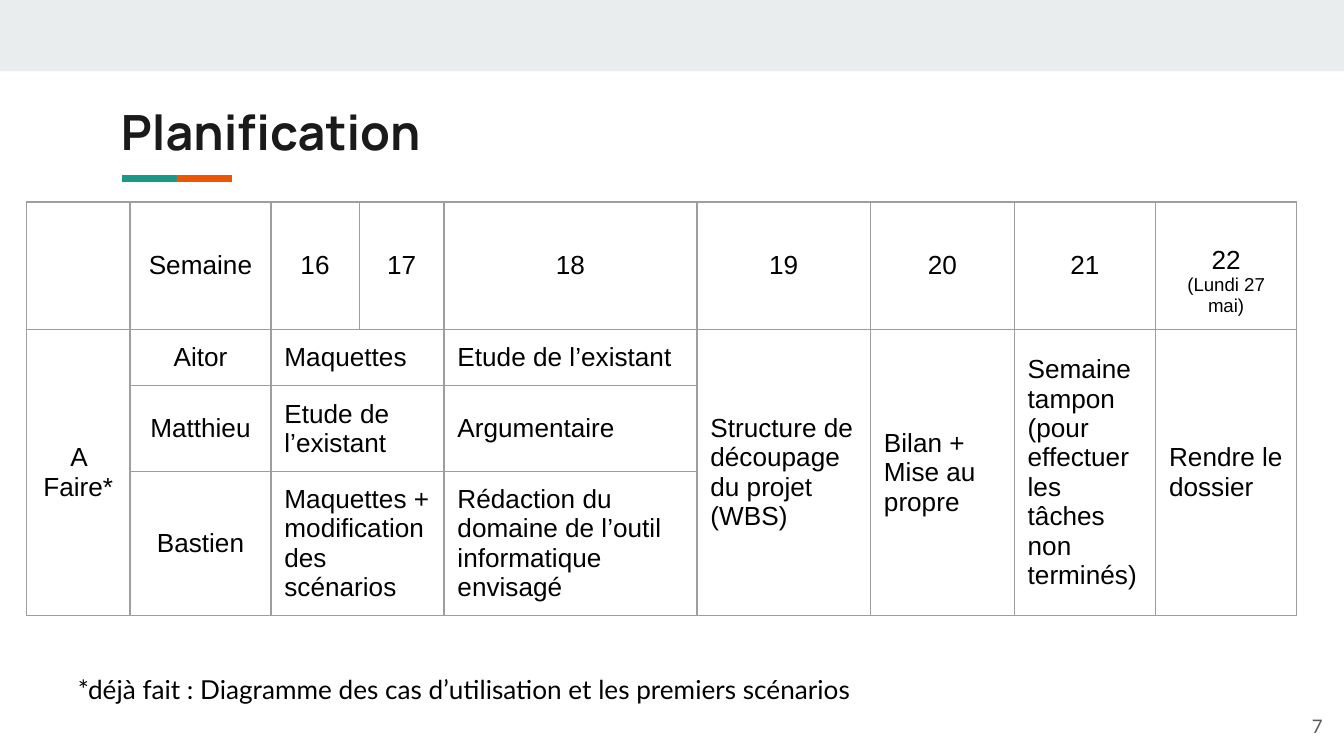
from dataclasses import dataclass

from lxml import etree
from pptx import Presentation
from pptx import util as u
from pptx.dml.color import RGBColor
from pptx.enum import shapes, text
from pptx.oxml import ns

Pt = u.Pt
LEFT, CENTER, RIGHT = text.PP_ALIGN.LEFT, text.PP_ALIGN.CENTER, text.PP_ALIGN.RIGHT
TOP, MIDDLE = text.MSO_ANCHOR.TOP, text.MSO_ANCHOR.MIDDLE


@dataclass
class Theme:
    band: str = "E9EDEE"
    teal: str = "1A9988"
    orange: str = "EB5600"
    ink: str = "1A1A1A"
    black: str = "000000"
    gray: str = "595959"
    border: str = "9E9E9E"
    heading: str = "Manrope"
    body: str = "Lato"
    grid: str = "Arial"
    title_size: float = 26
    body_size: float = 14
    small_size: float = 10
    border_width: float = 0.75
    inset: float = 7.2
    cell_inset: float = 3.6


theme = Theme()

COLUMNS = [55.5, 75.5, 47.25, 45.5, 135.5, 93, 77, 75.75, 75.5]
ROWS = [68.5, 30, 46, 77]
WEEKS = ["", "Semaine", "16", "17", "18", "19", "20", "21", "22\n(Lundi 27 mai)"]
# Person, weeks 16-17, week 18
TASKS = [
    ("Aitor", "Maquettes", "Etude de l’existant"),
    ("Matthieu", "Etude de l’existant", "Argumentaire"),
    ("Bastien", "Maquettes + modification des scénarios",
     "Rédaction du domaine de l’outil informatique envisagé"),
]
# Column: text running over all three people
SHARED = {
    0: "A Faire*",
    5: "Structure de découpage du projet (WBS)",
    6: "Bilan + Mise au propre",
    7: "Semaine tampon (pour effectuer les tâches non terminés)",
    8: "Rendre le dossier",
}


def style(para, font, size, color, align=LEFT, bold=False):
    para.alignment = align
    for span in para.runs:
        span.font.name = font
        span.font.size = Pt(size)
        span.font.bold = bold
        span.font.color.rgb = RGBColor.from_string(color)


def fill_frame(frame, words, font, size, color, align=LEFT, anchor=TOP, bold=False):
    frame.text = words
    frame.word_wrap = True
    frame.auto_size = text.MSO_AUTO_SIZE.NONE
    frame.vertical_anchor = anchor
    frame.margin_left = frame.margin_right = Pt(theme.inset)
    frame.margin_top = frame.margin_bottom = Pt(theme.inset)
    style(frame.paragraphs[0], font, size, color, align, bold)


def add_bar(page, box, color):
    bar = page.shapes.add_shape(shapes.MSO_SHAPE.RECTANGLE, *map(Pt, box))
    bar.shadow.inherit = False
    bar.fill.solid()
    bar.fill.fore_color.rgb = RGBColor.from_string(color)
    bar.line.fill.background()


def add_heading(page, box, words):
    left, top, width, height = box
    title = page.shapes.title
    title.left, title.top, title.width, title.height = map(Pt, box)
    fill_frame(title.text_frame, words, theme.heading, theme.title_size,
               theme.ink, bold=True)
    # Two-colour underline
    for index, color in enumerate((theme.teal, theme.orange)):
        add_bar(page, (left + 7.8 + 29.4 * index, top + 46.3, 29.4, 3.6), color)


def add_note(page, box, words, size, color, align=LEFT, anchor=TOP):
    note = page.shapes.add_textbox(*map(Pt, box))
    fill_frame(note.text_frame, words, theme.body, size, color, align, anchor)


def set_borders(cell):
    properties = cell._tc.get_or_add_tcPr()
    for place, side in enumerate(("lnL", "lnR", "lnT", "lnB")):
        line = etree.Element(ns.qn("a:" + side), w=str(Pt(theme.border_width)))
        solid = etree.SubElement(line, ns.qn("a:solidFill"))
        etree.SubElement(solid, ns.qn("a:srgbClr"), val=theme.border)
        properties.insert(place, line)


def write_cell(cell, words, align):
    cell.text = words
    for index, para in enumerate(cell.text_frame.paragraphs):
        size = theme.small_size if index else theme.body_size
        style(para, theme.grid, size, theme.black, align)


def add_schedule(page, box):
    frame = page.shapes.add_table(len(ROWS), len(COLUMNS), *map(Pt, box))
    table = frame.table
    table.first_row = table.horz_banding = False
    for column, width in zip(table.columns, COLUMNS):
        column.width = Pt(width)
    for row, height in zip(table.rows, ROWS):
        row.height = Pt(height)
    for cell in table.iter_cells():
        cell.fill.background()
        cell.vertical_anchor = MIDDLE
        cell.margin_left = cell.margin_right = Pt(theme.inset)
        cell.margin_top = cell.margin_bottom = Pt(theme.cell_inset)
        set_borders(cell)

    # Week headings; the last one sits lower
    for index, week in enumerate(WEEKS):
        write_cell(table.cell(0, index), week, CENTER)
    table.cell(0, len(WEEKS) - 1).margin_top = Pt(theme.cell_inset + 16)

    # Tasks of each person
    for row, (person, first, second) in enumerate(TASKS, 1):
        table.cell(row, 2).merge(table.cell(row, 3))
        write_cell(table.cell(row, 1), person, CENTER)
        write_cell(table.cell(row, 2), first, LEFT)
        write_cell(table.cell(row, 4), second, LEFT)

    # Shared tasks
    for column, words in SHARED.items():
        table.cell(1, column).merge(table.cell(len(TASKS), column))
        write_cell(table.cell(1, column), words, LEFT if column else CENTER)


def build_planning(deck):
    page = deck.slides.add_slide(deck.slide_layouts[5])
    add_bar(page, (0, 0, 720, 38.2), theme.band)
    add_heading(page, (57.6, 47.5, 605.5, 42.5), "Planification")
    add_schedule(page, (14.2, 108.2, sum(COLUMNS), sum(ROWS)))
    add_note(page, (34.6, 353.5, 459.5, 39),
             "*déjà fait : Diagramme des cas d’utilisation et les premiers scénarios",
             theme.body_size, theme.black)
    add_note(page, (672.5, 373.7, 43.2, 31), "7", theme.small_size, theme.gray,
             RIGHT, MIDDLE)


deck = Presentation()
deck.slide_width, deck.slide_height = Pt(720), Pt(405)
build_planning(deck)
deck.save("out.pptx")
